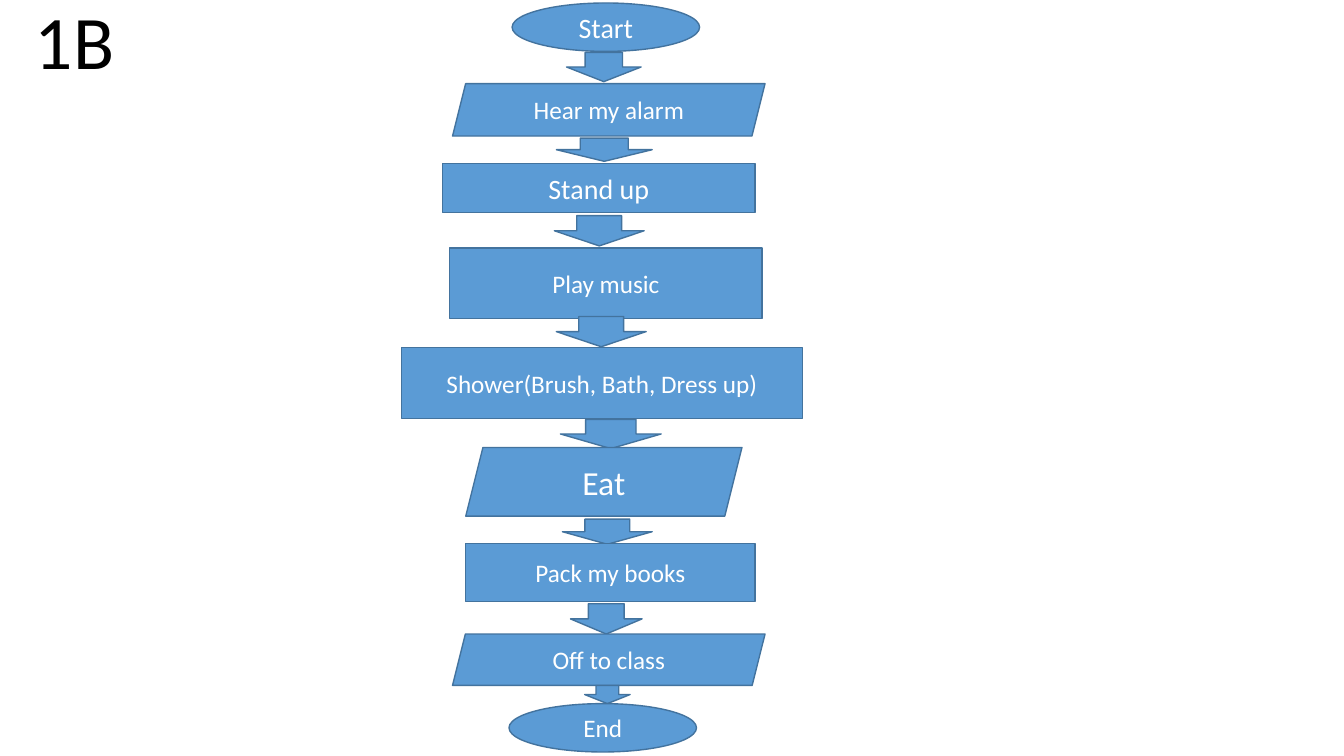
import pptx
import pptx.util
import pptx.dml.color
import pptx.enum.shapes
import pptx.enum.text

Kind = pptx.enum.shapes.MSO_SHAPE
Anchor = pptx.enum.text.MSO_ANCHOR
RGBColor = pptx.dml.color.RGBColor

BLUE = RGBColor(0x5B, 0x9B, 0xD5)
EDGE = RGBColor(0x43, 0x73, 0x9E)
WHITE = RGBColor(0xFF, 0xFF, 0xFF)
BLACK = RGBColor(0, 0, 0)

# Boxes are (centre x, top, width, height) in percent of the slide
HEADING = ("1B", (5.55, -0.27, 11.1, 12.27))
STEPS = [
    ("Start", Kind.OVAL, 20, (45.08, 0.4, 13.95, 6.4)),
    ("Hear my alarm", Kind.PARALLELOGRAM, 18, (45.3, 11.07, 23.25, 6.93)),
    ("Stand up", Kind.RECTANGLE, 20, (44.55, 21.6, 23.25, 6.53)),
    ("Play music", Kind.RECTANGLE, 18, (45.08, 32.8, 23.25, 9.33)),
    ("Shower(Brush, Bath, Dress up)", Kind.RECTANGLE, 18, (44.78, 46, 29.85, 9.33)),
    ("Eat", Kind.PARALLELOGRAM, 24, (44.93, 59.2, 20.55, 9.07)),
    ("Pack my books", Kind.RECTANGLE, 18, (45.41, 71.87, 21.53, 7.73)),
    ("Off to class", Kind.PARALLELOGRAM, 18, (45.3, 83.87, 23.25, 6.8)),
    ("End", Kind.OVAL, 18, (44.85, 93.07, 13.95, 6.4)),
]
# One arrow after each step but the last
ARROWS = [
    (44.93, 6.93, 5.55, 3.87),
    (44.96, 18.27, 7.13, 3.07),
    (44.59, 28.53, 6.68, 4),
    (44.74, 41.87, 6.68, 4),
    (45.45, 55.47, 7.5, 3.87),
    (45.19, 68.67, 6.68, 3.33),
    (45.11, 79.87, 5.33, 4),
    (45.19, 90.67, 3.38, 2.4),
]

deck = pptx.Presentation()
deck.slide_width = pptx.util.Inches(13.333)
deck.slide_height = pptx.util.Inches(7.5)
slide = deck.slides.add_slide(deck.slide_layouts[6])


def place(box):
    centre, top, width, height = box
    across, down = deck.slide_width / 100, deck.slide_height / 100
    return (round((centre - width / 2) * across), round(top * down),
            round(width * across), round(height * down))


def write(holder, text, size, color=WHITE, anchor=Anchor.MIDDLE, spacing=1.0):
    frame = holder.text_frame
    frame.word_wrap = True
    frame.vertical_anchor = anchor
    paragraph = frame.paragraphs[0]
    paragraph.alignment = pptx.enum.text.PP_ALIGN.CENTER
    paragraph.line_spacing = spacing
    run = paragraph.add_run()
    run.text = text
    run.font.name = "Calibri"
    run.font.size = pptx.util.Pt(size)
    run.font.color.rgb = color


def draw(kind, box):
    block = slide.shapes.add_shape(kind, *place(box))
    block.shadow.inherit = False
    block.fill.solid()
    block.fill.fore_color.rgb = BLUE
    block.line.color.rgb = EDGE
    block.line.width = pptx.util.Pt(1)
    return block


# Heading
heading_text, heading_box = HEADING
write(slide.shapes.add_textbox(*place(heading_box)), heading_text, 54,
      color=BLACK, anchor=Anchor.BOTTOM, spacing=0.9)

# Flowchart: each step, then the arrow to the next
for index, (label, kind, size, box) in enumerate(STEPS):
    write(draw(kind, box), label, size)
    if index < len(ARROWS):
        draw(Kind.DOWN_ARROW, ARROWS[index])

deck.save("out.pptx")
